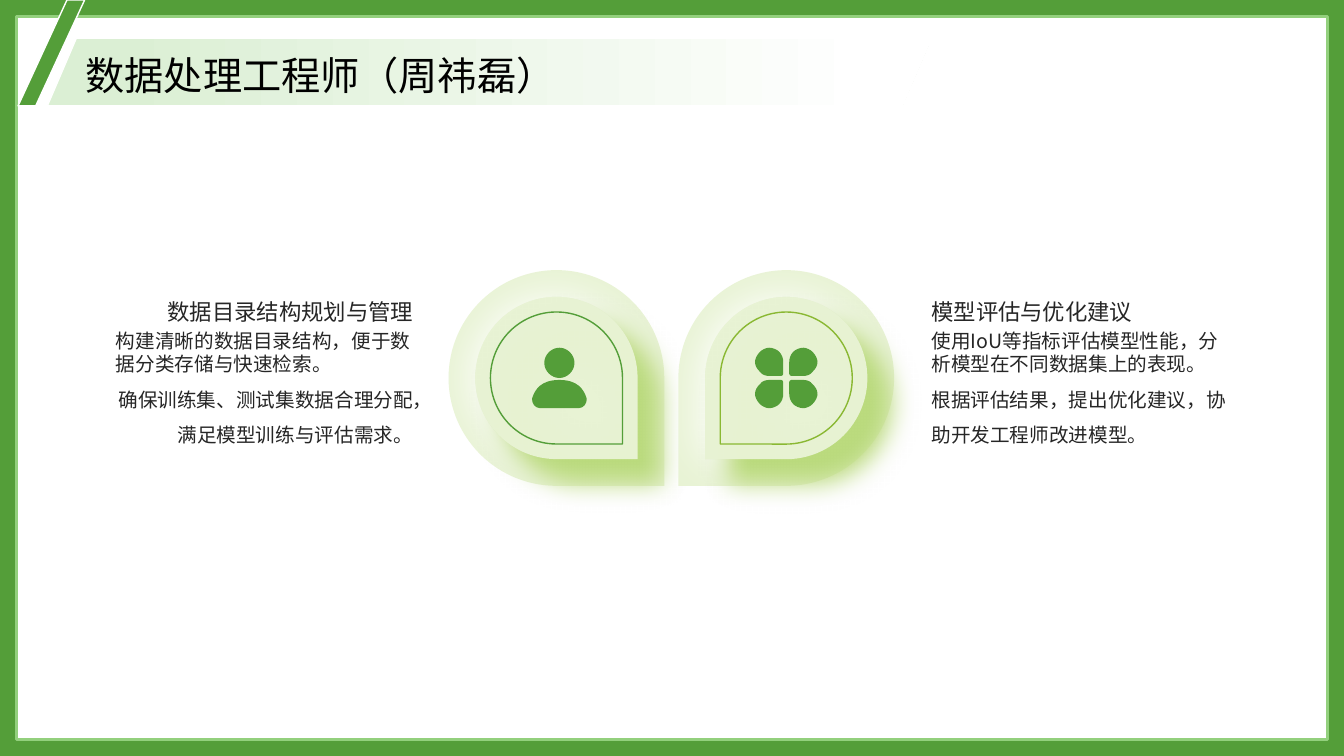
from lxml.etree import SubElement
from pptx import Presentation
from pptx.dml.color import RGBColor
from pptx.enum.shapes import MSO_SHAPE
from pptx.enum.text import MSO_ANCHOR, MSO_AUTO_SIZE, PP_ALIGN
from pptx.oxml.ns import qn
from pptx.util import Inches, Pt

FONT = "Noto Sans CJK SC"
GREEN, PALE, INK, WHITE = "549E39", "E8F3D4", "262626", "FFFFFF"
DUTIES = [
    ("数据目录结构规划与管理",
     ["构建清晰的数据目录结构，便于数据分类存储与快速检索。",
      "确保训练集、测试集数据合理分配，满足模型训练与评估需求。"]),
    ("模型评估与优化建议",
     ["使用IoU等指标评估模型性能，分析模型在不同数据集上的表现。",
      "根据评估结果，提出优化建议，协助开发工程师改进模型。"]),
]
PERSON = [
    [[(0, 0.02)], [(0.18, 0.02), (0.24, 0.11), (0.27, 0.2)],
     [(0.28, 0.25), (0.24, 0.3), (0.19, 0.3)], [(-0.19, 0.3)],
     [(-0.24, 0.3), (-0.28, 0.25), (-0.27, 0.2)],
     [(-0.24, 0.11), (-0.18, 0.02), (0, 0.02)]],
    [[(0, -0.3)], [(0.08, -0.3), (0.15, -0.23), (0.15, -0.15)],
     [(0.15, -0.07), (0.08, 0), (0, 0)],
     [(-0.08, 0), (-0.15, -0.07), (-0.15, -0.15)],
     [(-0.15, -0.23), (-0.08, -0.3), (0, -0.3)]],
]
PETAL = [
    [(0.05, 0.02)], [(0.17, 0.02)],
    [(0.2, 0.02), (0.24, 0.03), (0.26, 0.06)],
    [(0.29, 0.09), (0.31, 0.12), (0.31, 0.16)],
    [(0.31, 0.19), (0.29, 0.23), (0.26, 0.26)],
    [(0.24, 0.28), (0.2, 0.3), (0.17, 0.3)],
    [(0.13, 0.3), (0.09, 0.28), (0.07, 0.26)],
    [(0.04, 0.23), (0.03, 0.19), (0.03, 0.16)],
    [(0.03, 0.04)], [(0.03, 0.03), (0.04, 0.02), (0.05, 0.02)],
]
CLOVER = [[[(x * across, y * down) for x, y in step] for step in PETAL]
          for across in (-1, 1) for down in (-1, 1)]


def color(value):
    """Turn a hex string into a colour."""
    return RGBColor.from_string(value)


def paint(shape, fill=None, line=None, width=1):
    """Set the fill and outline of a shape and drop its theme shadow."""
    shape.shadow.inherit = False
    if fill:
        shape.fill.solid()
        shape.fill.fore_color.rgb = color(fill)
    else:
        shape.fill.background()
    if line:
        shape.line.color.rgb = color(line)
        shape.line.width = Pt(width)
    else:
        shape.line.fill.background()


def add_preset(page, kind, box, **style):
    """Add a painted preset shape in a box given in inches."""
    shape = page.shapes.add_shape(kind, *map(Inches, box))
    paint(shape, **style)
    return shape


def cast_shadow(shape, tint, blur, distance, angle):
    """Give a shape a soft outer shadow."""
    effects = shape._element.spPr.find(qn("a:effectLst"))
    shadow = SubElement(effects, qn("a:outerShdw"), blurRad=str(Pt(blur)),
                        dist=str(Pt(distance)), dir=str(angle * 60000),
                        algn="ctr", rotWithShape="0")
    SubElement(shadow, qn("a:srgbClr"), val=tint)


def write_text(holder, box, texts, size, ink, spacings, aligns, anchor):
    """Move a placeholder to a box, bring it to the front and fill it."""
    holder._element.getparent().append(holder._element)
    holder.left, holder.top, holder.width, holder.height = map(Inches, box)
    frame = holder.text_frame
    frame.margin_left = frame.margin_right = 0
    frame.margin_top = frame.margin_bottom = 0
    frame.word_wrap = True
    frame.auto_size = MSO_AUTO_SIZE.NONE
    frame.vertical_anchor = anchor
    frame.text = "\n".join(texts)
    for para, spacing, align in zip(frame.paragraphs, spacings, aligns):
        para.alignment = align
        para.line_spacing = spacing
        para.space_before = Pt(0)
        properties = para._p.get_or_add_pPr()
        properties.set("marL", "0")
        properties.set("indent", "0")
        SubElement(properties, qn("a:buNone"))
        for span in para.runs:
            span.font.size = Pt(size)
            span.font.bold = False
            span.font.color.rgb = color(ink)
            span.font.name = FONT
            SubElement(span._r.rPr, qn("a:ea"), typeface=FONT)


def add_icon(page, center, contours):
    """Draw closed contours of lines and curves around a center."""
    placed = [[[(Inches(center[0] + x), Inches(center[1] + y)) for x, y in step]
               for step in contour] for contour in contours]
    builder = page.shapes.build_freeform(*placed[0][0][0], scale=1.0)
    for index, (start, *steps) in enumerate(placed):
        if index:
            builder.move_to(*start[0])
        builder.add_line_segments([point for step in steps for point in step], close=True)
    icon = builder.convert_to_shape()
    paint(icon, fill=GREEN)
    lines = iter(list(icon._element.iter(qn("a:lnTo"))))
    for step in [step for contour in placed for step in contour[1:]]:
        parts = [next(lines) for _ in step]
        if len(parts) == 3:
            bend = SubElement(parts[0].getparent(), qn("a:cubicBezTo"))
            parts[0].addprevious(bend)
            for part in parts:
                bend.append(part[0])
                part.getparent().remove(part)


def draw_frame(page, width, height):
    """Draw the green border around the white sheet."""
    margin = 1 / 6
    add_preset(page, MSO_SHAPE.RECTANGLE, (0, 0, width, height), fill=GREEN)
    add_preset(page, MSO_SHAPE.RECTANGLE,
               (margin, margin, width - 2 * margin, height - 2 * margin),
               fill=WHITE, line="93D07D", width=2)


def draw_drop(page, box, rotation, outline, contours, shift):
    """Draw nested teardrops with an icon near the middle."""
    left, top, size = box
    layers = [
        (size, PALE, None, None),
        (1.61, PALE, None, ("FFFFFF", 32, 3, 180)),
        (1.61, PALE, None, ("BBDB7E", 18, 24, 45)),
        (1.31, None, outline, ("D9E289", 34, 24, 45)),
    ]
    for side, fill, line, shadow in layers:
        inset = (size - side) / 2
        drop = add_preset(page, MSO_SHAPE.TEAR, (left + inset, top + inset, side, side),
                          fill=fill, line=line)
        drop.rotation = rotation
        if shadow:
            cast_shadow(drop, *shadow)
    add_icon(page, (left + size / 2 + shift, top + size / 2), contours)


def draw_duty(head, body, box, duty, align):
    """Write a heading and its details in a column."""
    left, top, width = box
    title, details = duty
    write_text(body, (left, top + 0.35, width, 1.54), details, 14, INK,
               (1, 1.5), (PP_ALIGN.LEFT, align), MSO_ANCHOR.TOP)
    write_text(head, (left, top, width, 0.31), [title], 16, INK,
               (1.3,), (align,), MSO_ANCHOR.BOTTOM)


def draw_header(page, box):
    """Draw the fading title band, the title and the slanted bar."""
    left, top, width, height = box
    band = add_preset(page, MSO_SHAPE.PARALLELOGRAM, box, line=WHITE)
    band.adjustments[0] = 0.429
    band.fill.gradient()
    band.fill.gradient_angle = 0
    for stop, place, tint in zip(band.fill.gradient_stops, (0.08, 0.93), ("DBEFD4", WHITE)):
        stop.position = place
        stop.color.rgb = color(tint)
    write_text(page.shapes.title, (left + 0.38, top + 0.08, 6.47, 0.51),
               ["数据处理工程师（周祎磊）"], 28, "000000",
               (1.1,), (PP_ALIGN.LEFT,), MSO_ANCHOR.MIDDLE)
    bar = add_preset(page, MSO_SHAPE.PARALLELOGRAM, (left - 0.29, 0, 0.66, top + height),
                     fill=GREEN, line=WHITE)
    bar.adjustments[0] = 0.735


def main():
    """Build the slide and save it."""
    deck = Presentation()
    deck.slide_width, deck.slide_height = Inches(40 / 3), Inches(7.5)
    page = deck.slides.add_slide(deck.slide_layouts[4])
    left_head, left_body, right_head, right_body = list(page.placeholders)[1:]
    draw_frame(page, 40 / 3, 7.5)
    draw_drop(page, (4.45, 2.68, 2.14), 90, GREEN, PERSON, 0.03)
    draw_drop(page, (6.73, 2.68, 2.14), 180, "8AB833", CLOVER, 0)
    draw_duty(left_head, left_body, (1.15, 2.91, 2.95), DUTIES[0], PP_ALIGN.RIGHT)
    draw_duty(right_head, right_body, (9.24, 2.91, 2.95), DUTIES[1], PP_ALIGN.LEFT)
    draw_header(page, (0.47, 0.38, 8.77, 0.67))
    deck.save("out.pptx")


if __name__ == "__main__":
    main()
